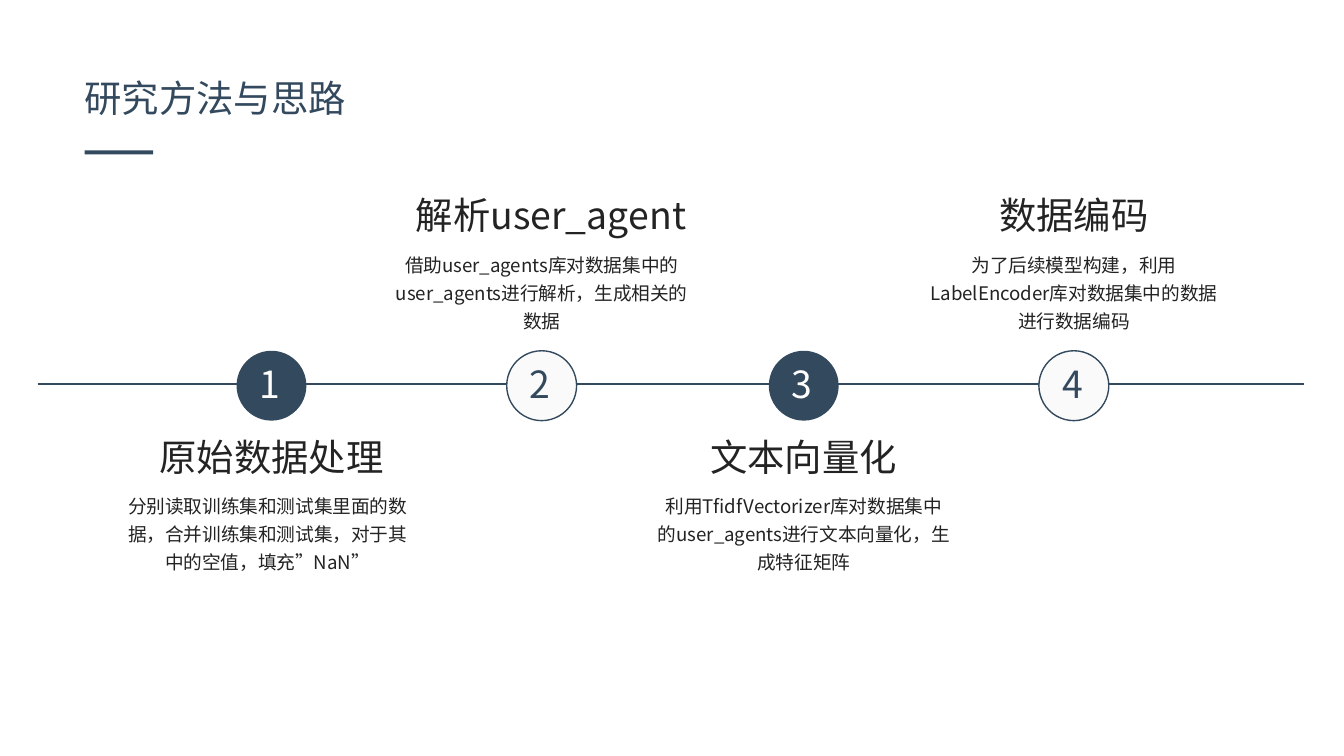
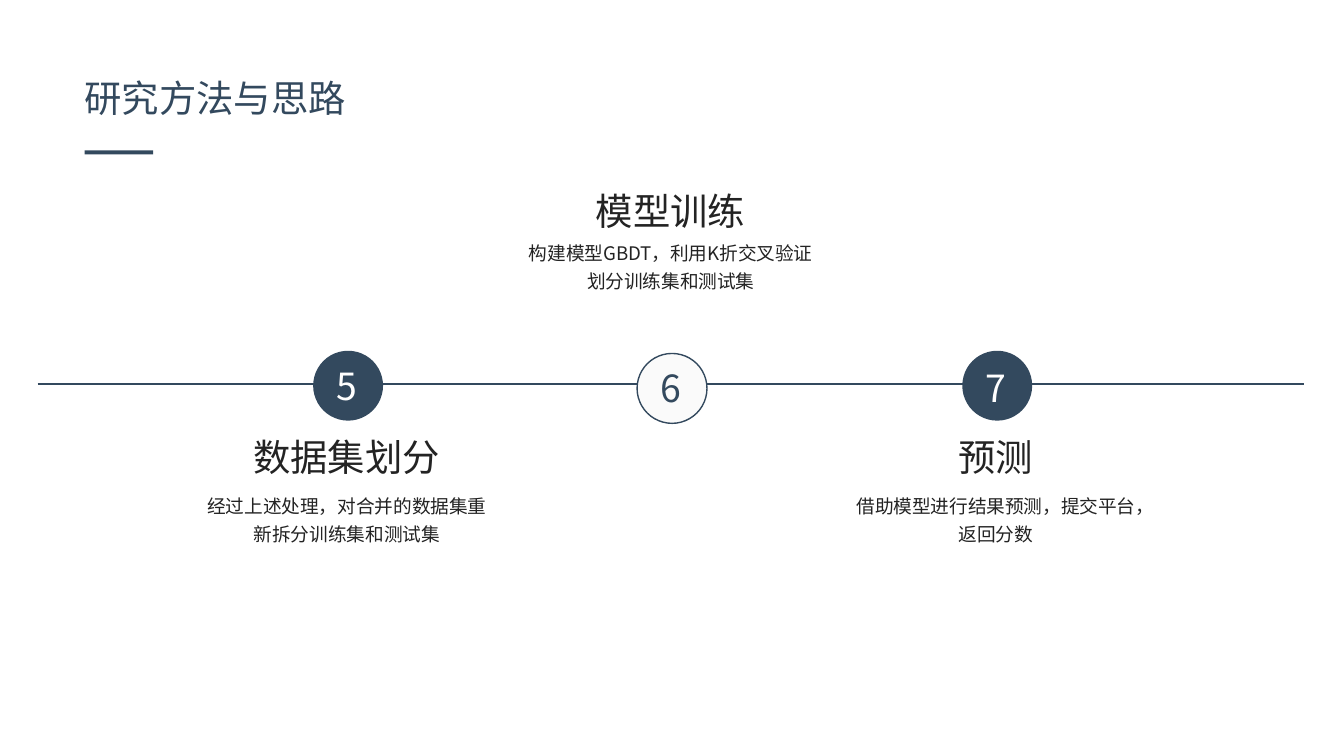
from dataclasses import dataclass

from lxml import etree
from pptx import Presentation
from pptx.dml.color import RGBColor
from pptx.enum.shapes import MSO_CONNECTOR, MSO_SHAPE
from pptx.enum.text import MSO_AUTO_SIZE, PP_ALIGN
from pptx.oxml.ns import qn
from pptx.util import Inches, Pt

STRAIGHT = MSO_CONNECTOR.STRAIGHT
RECTANGLE = MSO_SHAPE.RECTANGLE
OVAL = MSO_SHAPE.OVAL
GROW = MSO_AUTO_SIZE.SHAPE_TO_FIT_TEXT
FIXED = MSO_AUTO_SIZE.NONE
LEFT = PP_ALIGN.LEFT
CENTER = PP_ALIGN.CENTER

COLORS = {"navy": "33495E", "pale": "FAFAFA", "white": "FFFFFF", "text": "232323"}
FONT = "Noto Sans CJK SC"
TITLE = "研究方法与思路"
SLIDE_WIDTH = 10
SLIDE_HEIGHT = SLIDE_WIDTH * 9 / 16
AXIS_Y = 2.86
CIRCLE_SIZE = 0.52
NUMBER_WIDTH = 0.54
BODY_WIDTH = 2.32


@dataclass
class Step:
    number: int
    center: float
    heading: str
    body: str
    heading_top: float
    body_top: float
    heading_width: float
    heading_shift: float = 0
    body_shift: float = 0
    circle_top: float = 2.61
    number_top: float = 2.65


BELOW = {"heading_top": 3.19, "body_top": 3.6}
ABOVE = {"heading_top": 1.39, "body_top": 1.81}

SLIDES = [
    [
        Step(1, 2.02, "原始数据处理",
             "分别读取训练集和测试集里面的数据，合并训练集和测试集，对于其中的空值，填充”NaN”",
             heading_width=1.95, body_shift=-0.03, **BELOW),
        Step(2, 4.03, "解析user_agent",
             "借助user_agents库对数据集中的user_agents进行解析，生成相关的数据",
             heading_width=2.34, heading_shift=0.07, **ABOVE),
        Step(3, 5.98, "文本向量化",
             "利用TfidfVectorizer库对数据集中的user_agents进行文本向量化，生成特征矩阵",
             heading_width=1.7, **BELOW),
        Step(4, 7.99, "数据编码",
             "为了后续模型构建，利用LabelEncoder库对数据集中的数据进行数据编码",
             heading_width=1.43, **ABOVE),
    ],
    [
        Step(5, 2.59, "数据集划分",
             "经过上述处理，对合并的数据集重新拆分训练集和测试集",
             heading_width=1.95, heading_shift=-0.01, body_shift=-0.01,
             number_top=2.66, **BELOW),
        Step(6, 5.0, "模型训练",
             "构建模型GBDT，利用K折交叉验证划分训练集和测试集",
             heading_top=1.36, body_top=1.72, heading_width=2.34,
             heading_shift=-0.01, body_shift=-0.01, circle_top=2.63, number_top=2.68),
        Step(7, 7.42, "预测",
             "借助模型进行结果预测，提交平台，返回分数",
             heading_width=1.7, heading_shift=-0.01, body_shift=-0.01,
             number_top=2.68, **BELOW),
    ],
]


def color(name):
    return RGBColor.from_string(COLORS[name])


def add_text(slide, text, left, top, width, height, size=20, color_name="text",
             alignment=CENTER, margins=(0.07, 0.04), auto_size=GROW, line_spacing=None):
    box = slide.shapes.add_textbox(Inches(left), Inches(top), Inches(width), Inches(height))
    frame = box.text_frame
    frame.word_wrap = True
    frame.auto_size = auto_size
    frame.margin_left = frame.margin_right = Inches(margins[0])
    frame.margin_top = frame.margin_bottom = Inches(margins[1])
    paragraph = frame.paragraphs[0]
    paragraph.alignment = alignment
    if line_spacing:
        paragraph.line_spacing = Pt(line_spacing)
    run = paragraph.add_run()
    run.text = text
    run.font.size = Pt(size)
    run.font.name = FONT
    run.font.color.rgb = color(color_name)
    etree.SubElement(run.font._element, qn("a:ea")).set("typeface", FONT)


def add_filled_shape(slide, kind, left, top, width, height, fill, line=None):
    shape = slide.shapes.add_shape(
        kind, Inches(left), Inches(top), Inches(width), Inches(height))
    shape.shadow.inherit = False
    shape.fill.solid()
    shape.fill.fore_color.rgb = color(fill)
    if line:
        shape.line.color.rgb = color(line)
        shape.line.width = Pt(0.75)
    else:
        shape.line.fill.background()


def add_axis(slide):
    axis = slide.shapes.add_connector(
        STRAIGHT, Inches(0.28), Inches(AXIS_Y), Inches(9.7), Inches(AXIS_Y))
    axis.line.color.rgb = color("navy")
    axis.line.width = Pt(1)
    etree.SubElement(axis._element.spPr, qn("a:effectLst"))


def add_title(slide):
    add_filled_shape(slide, RECTANGLE, 0.63, 1.12, 0.51, 0.03, "navy")
    add_text(slide, TITLE, 0.53, 0.51, 2.68, 0.44, color_name="navy",
             alignment=LEFT, margins=(0.1, 0.05))


def add_step(slide, step):
    is_dark = step.number % 2 == 1
    fill, line, number_color = ("navy", None, "white") if is_dark else ("pale", "navy", "navy")
    add_filled_shape(slide, OVAL, step.center - CIRCLE_SIZE / 2, step.circle_top,
                     CIRCLE_SIZE, CIRCLE_SIZE, fill, line)
    add_text(slide, str(step.number), step.center - 0.01 - NUMBER_WIDTH / 2,
             step.number_top, NUMBER_WIDTH, 0.41, color_name=number_color)
    add_text(slide, step.body, step.center + step.body_shift - BODY_WIDTH / 2,
             step.body_top, BODY_WIDTH, 0.87, size=10, auto_size=FIXED, line_spacing=15)
    add_text(slide, step.heading, step.center + step.heading_shift - step.heading_width / 2,
             step.heading_top, step.heading_width, 0.41)


def main():
    presentation = Presentation()
    presentation.slide_width = Inches(SLIDE_WIDTH)
    presentation.slide_height = Inches(SLIDE_HEIGHT)
    for steps in SLIDES:
        slide = presentation.slides.add_slide(presentation.slide_layouts[6])
        slide.background.fill.solid()
        slide.background.fill.fore_color.rgb = color("white")
        add_title(slide)
        add_axis(slide)
        for step in steps:
            add_step(slide, step)
    presentation.save("out.pptx")


if __name__ == "__main__":
    main()
